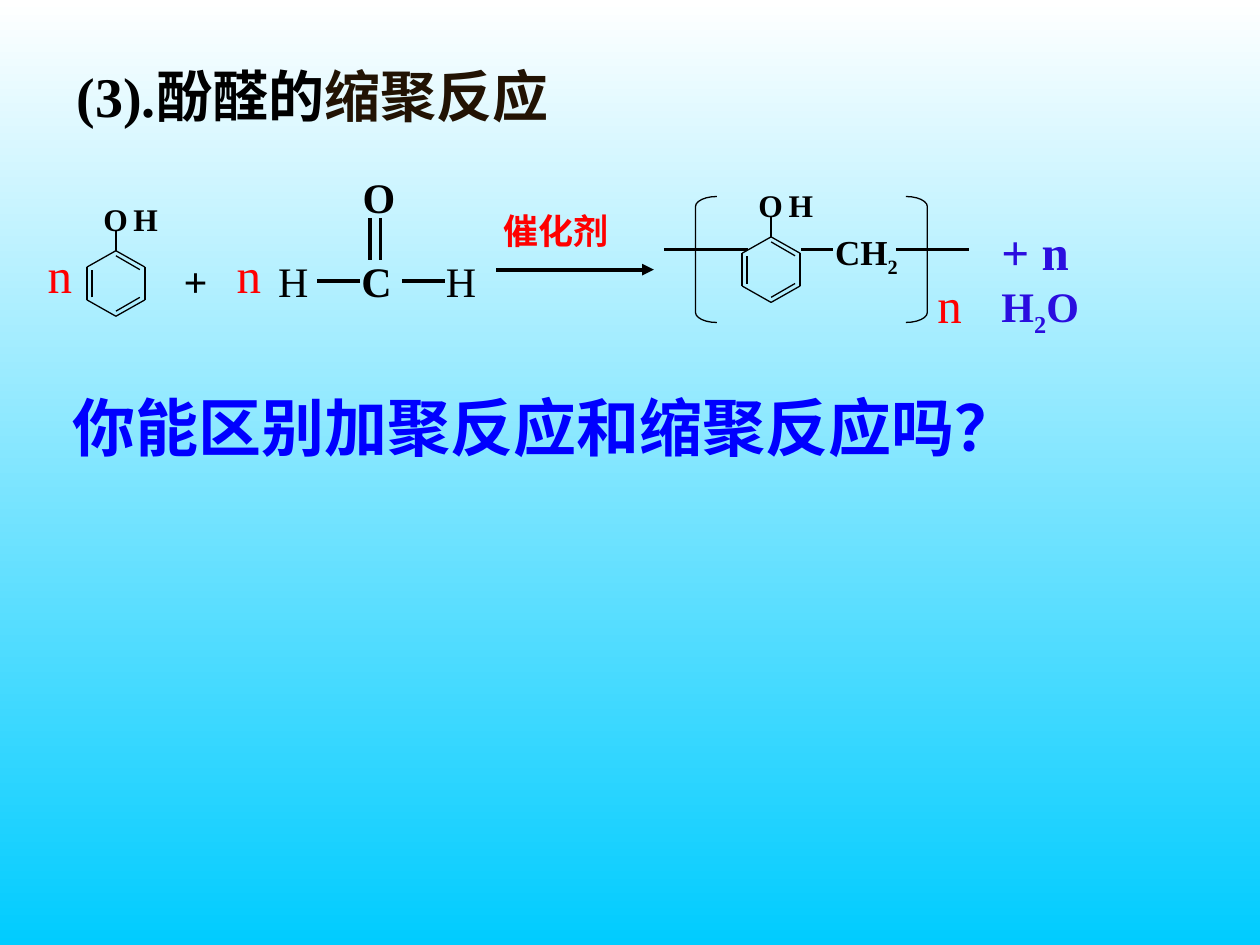
import lxml.etree
import pptx
import pptx.dml.color
import pptx.enum.shapes
import pptx.enum.text
import pptx.oxml.ns
import pptx.util

Inches = pptx.util.Inches
RGBColor = pptx.dml.color.RGBColor
SHAPE = pptx.enum.shapes.MSO_SHAPE
qn = pptx.oxml.ns.qn

BLACK = RGBColor(0x00, 0x00, 0x00)
WHITE = RGBColor(0xFF, 0xFF, 0xFF)
SKY = RGBColor(0x00, 0xCC, 0xFF)
RED = RGBColor(0xFF, 0x00, 0x00)
BLUE = RGBColor(0x00, 0x00, 0xFF)
VIOLET = RGBColor(0x2B, 0x0D, 0xDF)
BROWN = RGBColor(0x22, 0x13, 0x04)

SERIF = "Times New Roman"
CJK = "Noto Sans CJK SC"
SUBSCRIPT = {"baseline": -25000}


def set_background(s):
    fill = s.background.fill
    fill.gradient()
    fill.gradient_angle = 270
    for stop, color in zip(fill.gradient_stops, (WHITE, SKY)):
        stop.color.rgb = color


def add_run(p, text, size=24, font=SERIF, color=BLACK, bold=True, baseline=0):
    r = p.add_run()
    r.text = text
    r.font.size = pptx.util.Pt(size)
    r.font.bold = bold
    r.font.color.rgb = color
    r.font.name = font
    rPr = r._r.get_or_add_rPr()
    lxml.etree.SubElement(rPr, qn("a:ea")).set("typeface", CJK)
    if baseline:
        rPr.set("baseline", str(baseline))


def add_text(s, x, y, w, h, *runs, wrap=False, inset=True, **fmt):
    sp = s.shapes.add_textbox(Inches(x), Inches(y), Inches(w), Inches(h))
    tf = sp.text_frame
    tf.word_wrap = wrap
    tf.auto_size = pptx.enum.text.MSO_AUTO_SIZE.SHAPE_TO_FIT_TEXT
    if not inset:
        tf.margin_left = tf.margin_right = tf.margin_top = tf.margin_bottom = 0
    for text, changes in runs:
        add_run(tf.paragraphs[0], text, **{**fmt, **changes})


def add_line(s, x1, y1, x2, y2, width=2.25, arrow=False):
    line = s.shapes.add_connector(
        pptx.enum.shapes.MSO_CONNECTOR.STRAIGHT,
        Inches(x1), Inches(y1), Inches(x2), Inches(y2))
    line.line.color.rgb = BLACK
    line.line.width = pptx.util.Pt(width)
    if arrow:
        ln = line.line._get_or_add_ln()
        lxml.etree.SubElement(ln, qn("a:tailEnd")).set("type", "triangle")
    lxml.etree.SubElement(line._element.spPr, qn("a:effectLst"))


def add_bracket(s, kind, x):
    sp = s.shapes.add_shape(kind, Inches(x), Inches(1.56), Inches(0.17), Inches(1))
    sp.adjustments[0] = 0.47
    sp.shadow.inherit = False
    sp.fill.background()
    sp.line.color.rgb = BLACK
    sp.line.width = pptx.util.Pt(0.75)


def hexagon(cx, cy, half_w, half_side, half_h):
    return [(cx, cy - half_h), (cx + half_w, cy - half_side),
            (cx + half_w, cy + half_side), (cx, cy + half_h),
            (cx - half_w, cy + half_side), (cx - half_w, cy - half_side)]


def add_phenol(s, cx, cy):
    outer = hexagon(cx, cy, 0.23, 0.13, 0.26)
    inner = hexagon(cx, cy, 0.19, 0.11, 0.22)
    sides = [(outer, i) for i in range(6)] + [(inner, i) for i in (0, 2, 4)]
    for ring, i in sides:
        start, end = ring[i], ring[(i + 1) % 6]
        add_line(s, *start, *end, width=1 if start[0] == end[0] else 0.75)
    add_line(s, cx, cy - 0.26, cx, cy - 0.42, width=1)
    for atom, dx in (("O", -0.1), ("H", 0.14)):
        add_text(s, cx + dx, cy - 0.66, 0.2, 0.3, (atom, {}), inset=False, size=18)


def add_formaldehyde(s):
    for x in (2.11, 3.44):
        add_text(s, x, 1.98, 0.44, 0.5, ("H", {}), bold=False)
    add_text(s, 2.77, 1.98, 0.44, 0.5, ("C", {}), wrap=True)
    add_text(s, 2.78, 1.31, 0.46, 0.5, ("O", {}))
    for x in (2.52, 3.19):
        add_line(s, x, 2.23, x + 0.34, 2.23)
    for x in (2.94, 3.02):
        add_line(s, x, 1.73, x, 2.06)


def add_polymer(s):
    add_phenol(s, 6.12, 2.14)
    for x1, x2 in ((5.27, 5.94), (6.36, 6.61), (7.11, 7.69)):
        add_line(s, x1, 1.98, x2, 1.98)
    add_text(s, 6.53, 1.78, 0.7, 0.48, ("CH", {}), ("2", SUBSCRIPT), size=20)
    add_bracket(s, SHAPE.LEFT_BRACKET, 5.52)
    add_bracket(s, SHAPE.RIGHT_BRACKET, 7.19)


def main():
    prs = pptx.Presentation()
    prs.slide_width, prs.slide_height = Inches(10), Inches(7.5)
    s = prs.slides.add_slide(prs.slide_layouts[6])
    set_background(s)

    add_text(s, 0.29, 2.7, 8.33, 1.1, (" ", {"size": 60}),
             ("你能区别加聚反应和缩聚反应吗？", {}),
             wrap=True, size=36, font=CJK, color=BLUE)
    add_text(s, 0.51, 0.44, 4.72, 0.64, ("(3).酚醛的", {}),
             ("缩聚反应", {"color": BROWN}), wrap=True, size=32)

    add_phenol(s, 0.92, 2.25)
    add_text(s, 1.36, 1.98, 0.42, 0.5, ("+", {}), wrap=True)
    add_formaldehyde(s)
    add_line(s, 3.94, 2.14, 5.19, 2.14, arrow=True)
    add_text(s, 3.9, 1.61, 1.26, 0.44, ("催化剂", {}), wrap=True, size=20, color=RED)
    add_polymer(s)
    for x, y in ((0.28, 1.89), (1.78, 1.89), (7.34, 2.13)):
        add_text(s, x, y, 0.39, 0.57, ("n", {}), size=28, color=RED, bold=False)
    add_text(s, 7.85, 1.71, 1.44, 0.61, ("+ n ", {"size": 28}), ("H", {}),
             ("2", SUBSCRIPT), ("O", {}), color=VIOLET)

    prs.save("out.pptx")


if __name__ == "__main__":
    main()
